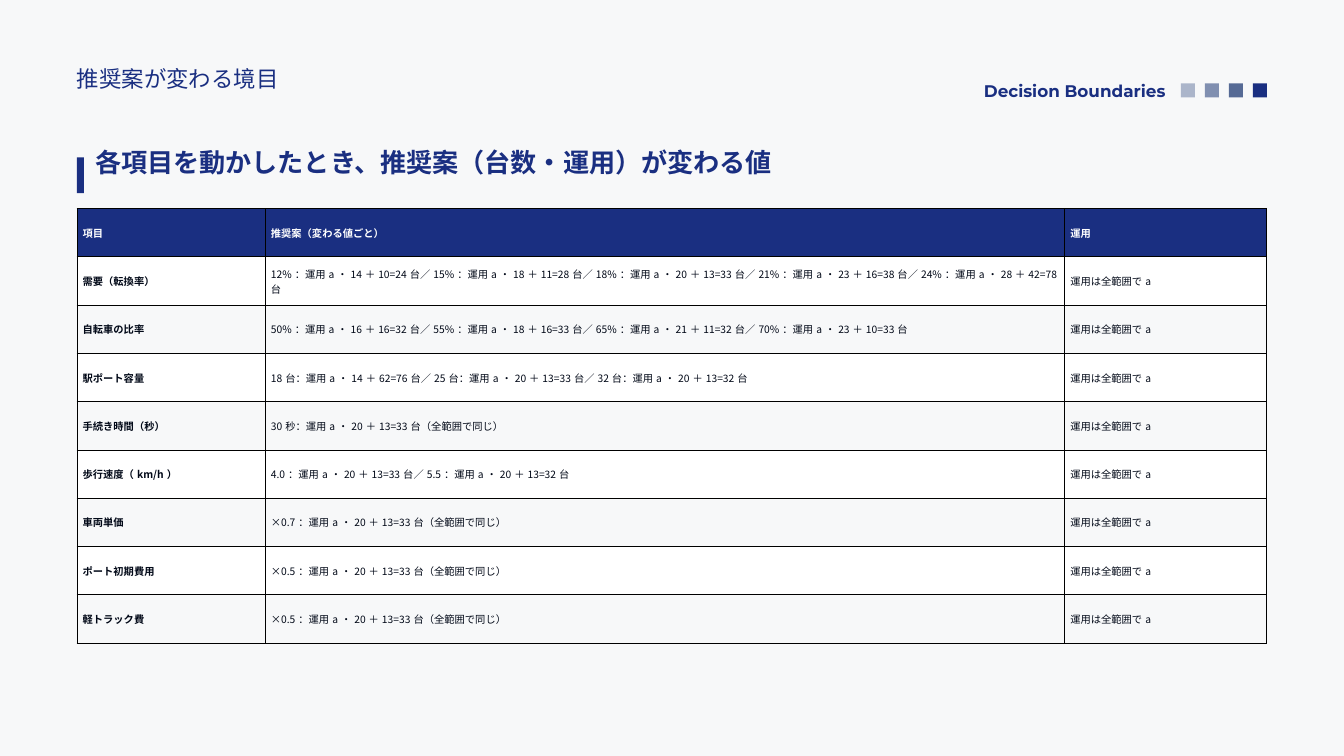
from dataclasses import dataclass

from lxml.etree import SubElement
from pptx import Presentation
from pptx.dml.color import RGBColor
from pptx.enum.shapes import MSO_SHAPE as Shape
from pptx.enum.text import MSO_ANCHOR as Anchor, PP_ALIGN as Align
from pptx.oxml.ns import qn
from pptx.util import Pt

PX = 9525


@dataclass(frozen=True)
class Theme:
    navy: str = "1A2F81"
    ink: str = "010817"
    white: str = "FFFFFF"
    pale: str = "F7F8F9"
    border: str = "000000"
    steps: tuple = ("ABB5CA", "808FB0", "566A95", "1A2F81")
    japanese: str = "Noto Sans CJK JP"
    latin: str = "Montserrat"
    heading: int = 28
    section: int = 24
    label: int = 18
    cell: int = 11


THEME = Theme()

HEADINGS = [
    ("各項目を動かしたとき、推奨案（台数・運用）が変わる値", (136, 201, 1670, 72),
     THEME.heading, THEME.japanese, True, Align.LEFT),
    ("推奨案が変わる境目", (110, 87, 850, 60),
     THEME.section, THEME.japanese, False, Align.LEFT),
    ("Decision Boundaries", (963, 110, 702, 33),
     THEME.label, THEME.latin, True, Align.RIGHT),
]

HEADER = ("項目", "推奨案（変わる値ごと）", "運用")
OPERATION = "運用は全範囲でa"
BOUNDARIES = [
    ("需要（転換率）", "12%：運用a・14＋10=24台／15%：運用a・18＋11=28台／18%：運用a・20＋13=33台"
     "／21%：運用a・23＋16=38台／24%：運用a・28＋42=78台"),
    ("自転車の比率", "50%：運用a・16＋16=32台／55%：運用a・18＋16=33台"
     "／65%：運用a・21＋11=32台／70%：運用a・23＋10=33台"),
    ("駅ポート容量", "18台：運用a・14＋62=76台／25台：運用a・20＋13=33台／32台：運用a・20＋13=32台"),
    ("手続き時間（秒）", "30秒：運用a・20＋13=33台（全範囲で同じ）"),
    ("歩行速度（km/h）", "4.0：運用a・20＋13=33台／5.5：運用a・20＋13=32台"),
    ("車両単価", "×0.7：運用a・20＋13=33台（全範囲で同じ）"),
    ("ポート初期費用", "×0.5：運用a・20＋13=33台（全範囲で同じ）"),
    ("軽トラック費", "×0.5：運用a・20＋13=33台（全範囲で同じ）"),
]

TABLE_LEFT, TABLE_TOP, ROW_HEIGHT = 110, 298, 69
COLUMN_WIDTHS = (269, 1142, 288)
ACCENT_BAR = (110, 225, 10, 51)
SQUARE_FIRST, SQUARE_LAST, SQUARE_TOP, SQUARE_SIDE = 1687, 1790, 119, 20


def emu(*lengths):
    return [round(length * PX) for length in lengths]


def paint(fill, color):
    fill.solid()
    fill.fore_color.rgb = RGBColor.from_string(color)


def apply(target, formats):
    for name, value in formats.items():
        setattr(target, name, value)


def write(paragraph, words, size, face, bold, color):
    run = paragraph.add_run()
    run.text = words
    apply(run.font, {"size": Pt(size), "name": face, "bold": bold})
    run.font.color.rgb = RGBColor.from_string(color)
    SubElement(run.font._element, qn("a:ea"), typeface=face)


def add_block(slide, place, color):
    block = slide.shapes.add_shape(Shape.RECTANGLE, *emu(*place))
    block.shadow.inherit = False
    paint(block.fill, color)
    block.line.fill.background()


def add_heading(slide, words, place, size, face, bold, align):
    frame = slide.shapes.add_textbox(*emu(*place)).text_frame
    apply(frame, {"word_wrap": True, "margin_left": 0, "margin_top": 0,
                  "margin_right": 0, "margin_bottom": 0})
    paragraph = frame.paragraphs[0]
    apply(paragraph, {"alignment": align, "line_spacing": Pt(size * 1.4)})
    write(paragraph, words, size, face, bold, THEME.navy)


def add_borders(cell):
    properties = cell._tc.get_or_add_tcPr()
    for side in ("lnL", "lnR", "lnT", "lnB"):
        line = SubElement(properties, qn(f"a:{side}"), w=str(Pt(1)))
        SubElement(SubElement(line, qn("a:solidFill")), qn("a:srgbClr"), val=THEME.border)


def add_boundary_table(slide):
    rows = [HEADER] + [(*boundary, OPERATION) for boundary in BOUNDARIES]
    size = (sum(COLUMN_WIDTHS), ROW_HEIGHT * len(rows))
    table = slide.shapes.add_table(len(rows), len(HEADER),
                                   *emu(TABLE_LEFT, TABLE_TOP, *size)).table
    apply(table, {"first_row": False, "horz_banding": False})
    for column, width in zip(table.columns, emu(*COLUMN_WIDTHS)):
        column.width = width
    for r, row in enumerate(rows):
        table.rows[r].height = ROW_HEIGHT * PX
        band = THEME.white if r % 2 else THEME.pale
        for c, words in enumerate(row):
            cell = table.cell(r, c)
            apply(cell, {"vertical_anchor": Anchor.MIDDLE,
                         "margin_left": 8 * PX, "margin_right": 8 * PX,
                         "margin_top": 3 * PX, "margin_bottom": 3 * PX})
            add_borders(cell)
            paint(cell.fill, band if r else THEME.navy)
            write(cell.text_frame.paragraphs[0], words, THEME.cell, THEME.japanese,
                  r == 0 or c == 0, THEME.ink if r else THEME.white)


def main():
    deck = Presentation()
    deck.slide_width, deck.slide_height = emu(1920, 1080)
    slide = deck.slides.add_slide(deck.slide_layouts[6])
    paint(slide.background.fill, THEME.pale)

    add_block(slide, ACCENT_BAR, THEME.navy)
    pitch = (SQUARE_LAST - SQUARE_FIRST) / (len(THEME.steps) - 1)
    for i, color in enumerate(THEME.steps):
        add_block(slide, (SQUARE_FIRST + i * pitch, SQUARE_TOP, SQUARE_SIDE, SQUARE_SIDE), color)
    for heading in HEADINGS:
        add_heading(slide, *heading)
    add_boundary_table(slide)
    deck.save("out.pptx")


if __name__ == "__main__":
    main()
